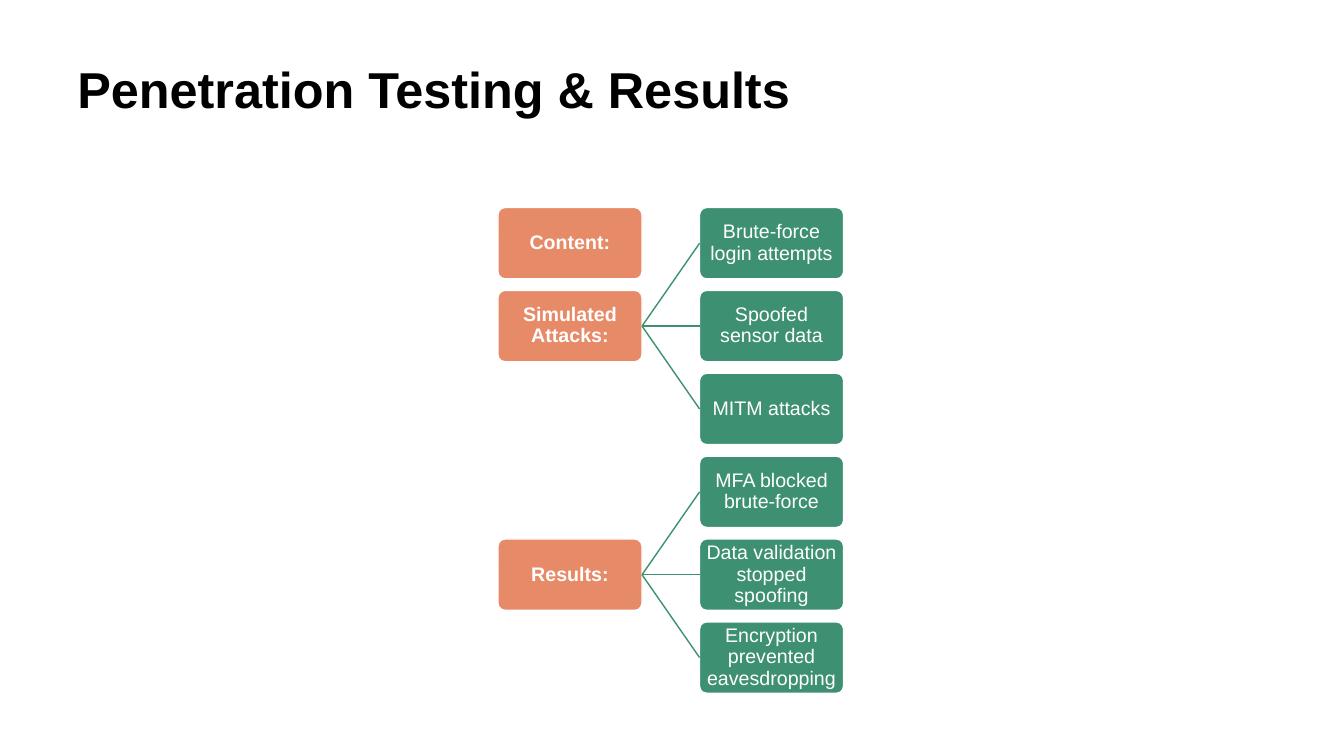
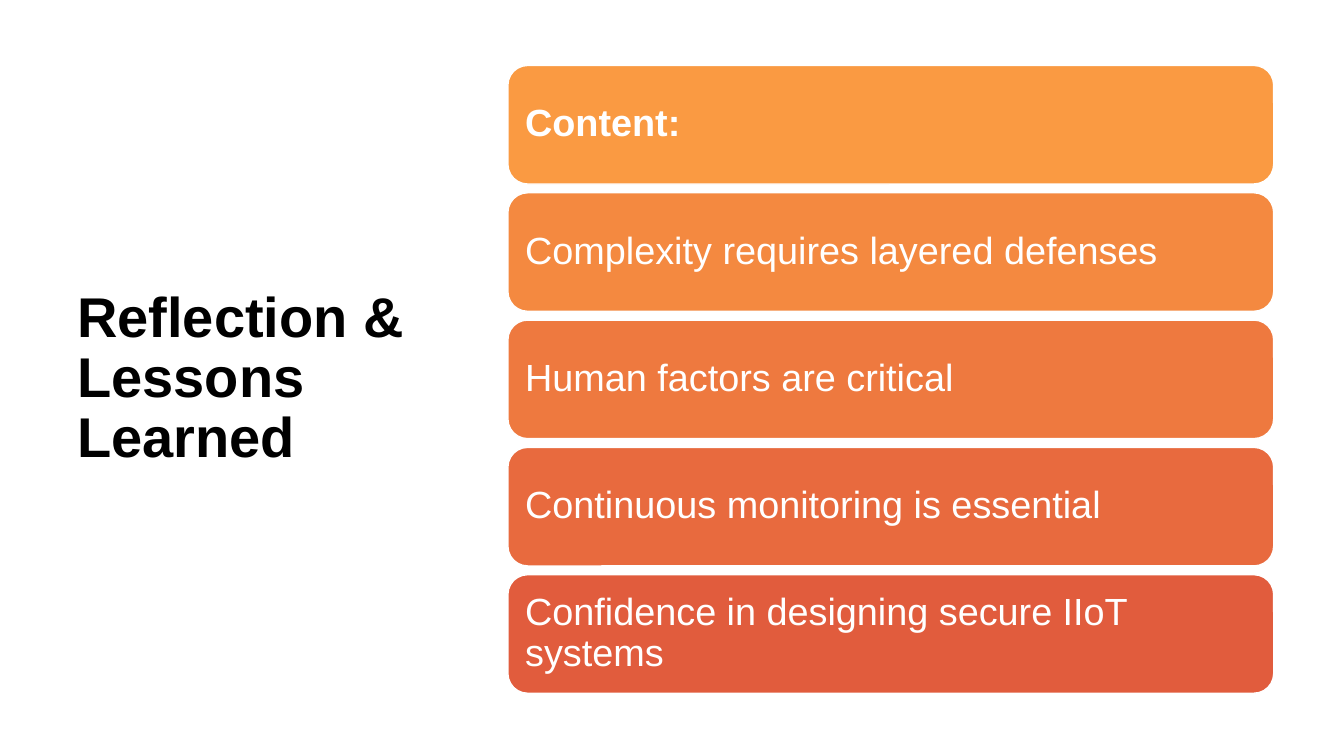
from dataclasses import dataclass

from lxml import etree
from pptx import Presentation
from pptx.dml.color import RGBColor
from pptx.enum import shapes, text
from pptx.oxml import ns
from pptx.util import Cm, Pt


@dataclass(frozen=True)
class Theme:
    font: str = "Arial"
    ink: str = "000000"
    paper: str = "FFFFFF"
    topic: str = "E78A67"
    finding: str = "3D9072"
    lessons: tuple = ("FA9A42", "F48940", "EE793F", "E86A3E", "E15C3D")
    wide_title: int = 36
    side_title: int = 40
    node_size: int = 14
    lesson_size: int = 27
    line_width: int = 1
    line_spacing: float = 0.9


THEME = Theme()

ATTACK_TREE = [
    ("Content:", 0, []),
    ("Simulated Attacks:", 1,
     ["Brute-force login attempts", "Spoofed sensor data", "MITM attacks"]),
    ("Results:", 4,
     ["MFA blocked brute-force", "Data validation stopped spoofing",
      "Encryption prevented eavesdropping"]),
]

LESSONS = [
    "Content:",
    "Complexity requires layered defenses",
    "Human factors are critical",
    "Continuous monitoring is essential",
    "Confidence in designing secure IIoT systems",
]


def apply_format(target, values):
    for name, value in values.items():
        setattr(target, name, value)


def write_text(shape, wording, size, color, bold, align, anchor, inset=None):
    frame = shape.text_frame
    apply_format(frame, {"word_wrap": True, "vertical_anchor": anchor})
    if inset is not None:
        sides = ("left", "top", "right", "bottom")
        apply_format(frame, {f"margin_{side}": Cm(inset) for side in sides})
    paragraph = frame.paragraphs[0]
    apply_format(paragraph, {"alignment": align, "line_spacing": THEME.line_spacing})
    run = paragraph.add_run()
    run.text = wording
    apply_format(run.font, {"name": THEME.font, "size": Pt(size), "bold": bold})
    run.font.color.rgb = RGBColor.from_string(color)


def add_title(slide, box, wording, size, anchor):
    title = slide.shapes.add_textbox(*map(Cm, box))
    write_text(title, wording, size, THEME.ink, True, text.PP_ALIGN.LEFT, anchor)


def add_card(slide, box, fill, corner, wording, size, bold, align, inset):
    card = slide.shapes.add_shape(shapes.MSO_SHAPE.ROUNDED_RECTANGLE, *map(Cm, box))
    card.adjustments[0] = corner
    card.shadow.inherit = False
    card.fill.solid()
    card.fill.fore_color.rgb = RGBColor.from_string(fill)
    card.line.color.rgb = RGBColor.from_string(THEME.paper)
    card.line.width = Pt(THEME.line_width)
    write_text(card, wording, size, THEME.paper, bold, align,
               text.MSO_ANCHOR.MIDDLE, inset)


def add_branch(slide, start, end):
    branch = slide.shapes.add_connector(
        shapes.MSO_CONNECTOR.STRAIGHT, *map(Cm, start + end))
    branch.line.color.rgb = RGBColor.from_string(THEME.finding)
    branch.line.width = Pt(THEME.line_width)
    etree.SubElement(branch.element.spPr, ns.qn("a:effectLst"))


def add_attack_tree(slide, box, tree, rows=6, row_gap=0.29, column_gap=1.45):
    left, top, width, height = box
    node_width = (width - column_gap) / 2
    node_height = (height - row_gap * (rows - 1)) / rows
    finding_left = left + node_width + column_gap

    def add_node(node_left, row, fill, wording, bold):
        node_top = top + row * (node_height + row_gap)
        add_card(slide, (node_left, node_top, node_width, node_height), fill, 0.1,
                 wording, THEME.node_size, bold, text.PP_ALIGN.CENTER, 0.03)
        return node_top + node_height / 2

    for topic, topic_row, findings in tree:
        topic_middle = add_node(left, topic_row, THEME.topic, topic, True)
        for finding_row, finding in enumerate(findings, topic_row - 1):
            finding_middle = add_node(
                finding_left, finding_row, THEME.finding, finding, False)
            add_branch(slide, (left + node_width, topic_middle),
                       (finding_left, finding_middle))


def add_lesson_list(slide, box, lessons, gap=0.22):
    left, top, width, height = box
    card_height = (height - gap * (len(lessons) - 1)) / len(lessons)
    for row, (lesson, fill) in enumerate(zip(lessons, THEME.lessons)):
        card_box = (left, top + row * (card_height + gap), width, card_height)
        add_card(slide, card_box, fill, 0.1667, lesson, THEME.lesson_size,
                 row == 0, text.PP_ALIGN.LEFT, 0.29)


def build_testing_slide(slide):
    add_title(slide, (1.7, 1.52, 30.4, 3.15), "Penetration Testing & Results",
              THEME.wide_title, text.MSO_ANCHOR.TOP)
    add_attack_tree(slide, (12.55, 5.23, 8.71, 12.24), ATTACK_TREE)


def build_reflection_slide(slide):
    add_title(slide, (1.7, 1.52, 9.7, 16.08), "Reflection & Lessons Learned",
              THEME.side_title, text.MSO_ANCHOR.MIDDLE)
    add_lesson_list(slide, (12.8, 1.65, 19.3, 15.82), LESSONS)


def main():
    deck = Presentation()
    apply_format(deck, {"slide_width": Cm(33.87), "slide_height": Cm(19.05)})
    blank = deck.slide_layouts[6]
    for build in (build_testing_slide, build_reflection_slide):
        build(deck.slides.add_slide(blank))
    deck.save("out.pptx")


if __name__ == "__main__":
    main()
